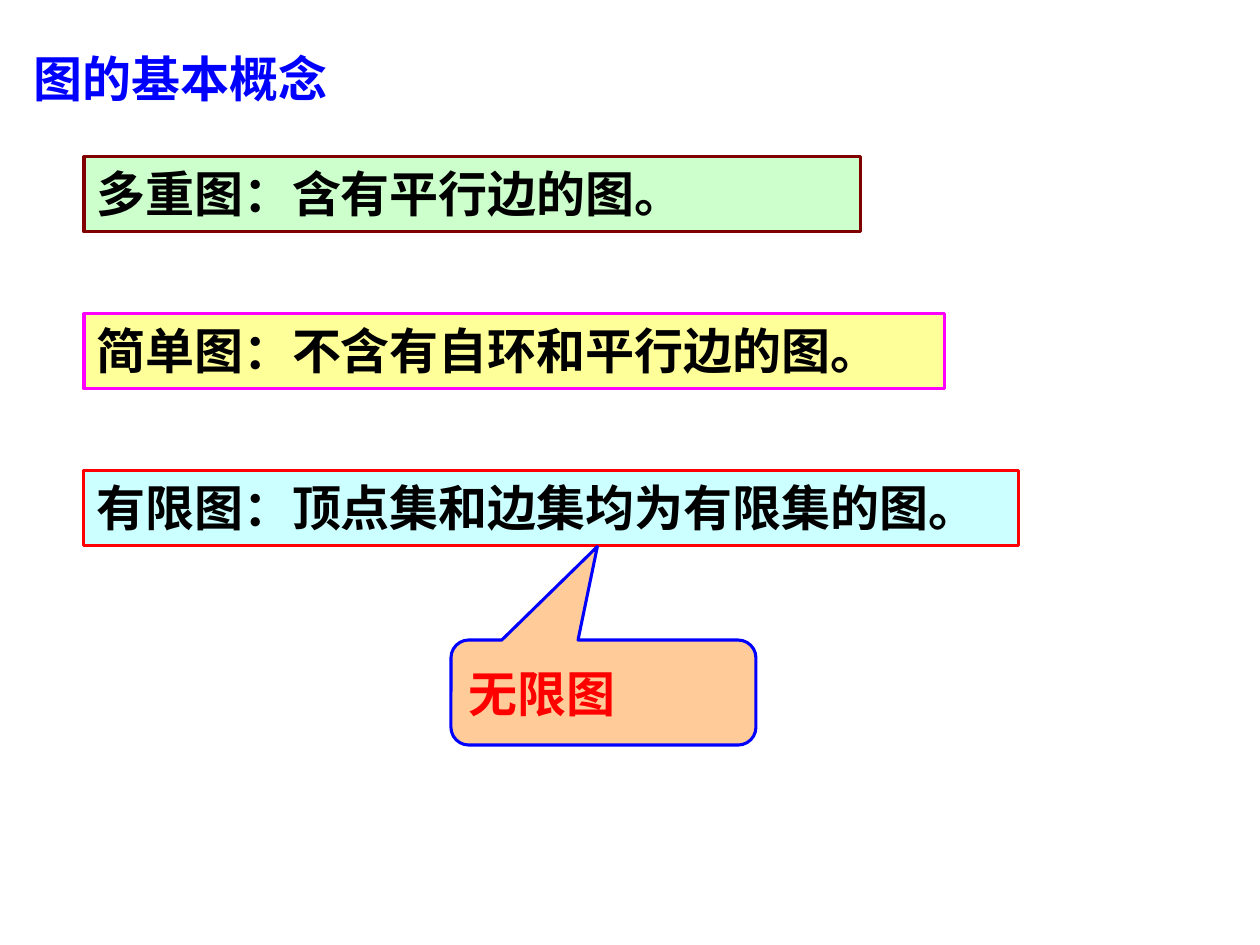
import pptx
import pptx.util
import pptx.dml.color
import pptx.enum.shapes
import pptx.enum.text

RGB = pptx.dml.color.RGBColor
SHAPE = pptx.enum.shapes.MSO_SHAPE
ANCHOR = pptx.enum.text.MSO_ANCHOR
FIT = pptx.enum.text.MSO_AUTO_SIZE

BLACK = RGB(0x00, 0x00, 0x00)
BLUE = RGB(0x00, 0x00, 0xFF)
RED = RGB(0xFF, 0x00, 0x00)
MAROON = RGB(0x80, 0x00, 0x00)
PINK = RGB(0xFF, 0x00, 0xFF)
GREEN = RGB(0xCC, 0xFF, 0xCC)
YELLOW = RGB(0xFF, 0xFF, 0x99)
CYAN = RGB(0xCC, 0xFF, 0xFF)
PEACH = RGB(0xFF, 0xCC, 0x99)

SCALE = 914400 / 126  # EMU per px


def px(*sizes):
    return [round(size * SCALE) for size in sizes]


def write(shape, text, color, **frame):
    body = shape.text_frame
    frame = {"word_wrap": True, "vertical_anchor": ANCHOR.TOP, **frame}
    for key, value in frame.items():
        setattr(body, key, value)
    para = body.paragraphs[0]
    para.alignment = pptx.enum.text.PP_ALIGN.LEFT
    run = para.add_run()
    run.text = text
    style = {"name": "Times New Roman", "size": pptx.util.Pt(28), "bold": True}
    for key, value in style.items():
        setattr(run.font, key, value)
    run.font.color.rgb = color


def add_box(slide, kind, area, fill, line):
    box = slide.shapes.add_shape(kind, *px(*area))
    box.shadow.inherit = False
    box.fill.solid()
    box.fill.fore_color.rgb = fill
    box.line.color.rgb = line
    box.line.width = pptx.util.Pt(1.75)
    return box


def main():
    deck = pptx.Presentation()
    deck.slide_width, deck.slide_height = px(1260, 945)
    slide = deck.slides.add_slide(deck.slide_layouts[6])

    # Title
    title = slide.shapes.add_textbox(*px(9, 42, 444, 72))
    write(title, "图的基本概念", BLUE, margin_left=px(25)[0],
          auto_size=FIT.SHAPE_TO_FIT_TEXT)

    # Definitions, evenly spaced
    terms = [
        ("多重图：含有平行边的图。", 777, GREEN, MAROON),
        ("简单图：不含有自环和平行边的图。", 861, YELLOW, PINK),
        ("有限图：顶点集和边集均为有限集的图。", 935, CYAN, RED),
    ]
    for row, (text, width, fill, line) in enumerate(terms):
        area = (84, 157 + 157 * row, width, 75)
        box = add_box(slide, SHAPE.RECTANGLE, area, fill, line)
        write(box, text, BLACK, auto_size=FIT.SHAPE_TO_FIT_TEXT)

    # Callout pointing at the last definition
    note = add_box(slide, SHAPE.ROUNDED_RECTANGULAR_CALLOUT,
                   (451, 640, 305, 105), PEACH, BLUE)
    for spot, value in enumerate((-0.02, -1.39, 0.17)):
        note.adjustments[spot] = value
    write(note, "无限图", RED, vertical_anchor=ANCHOR.MIDDLE)

    deck.save("out.pptx")


if __name__ == "__main__":
    main()
